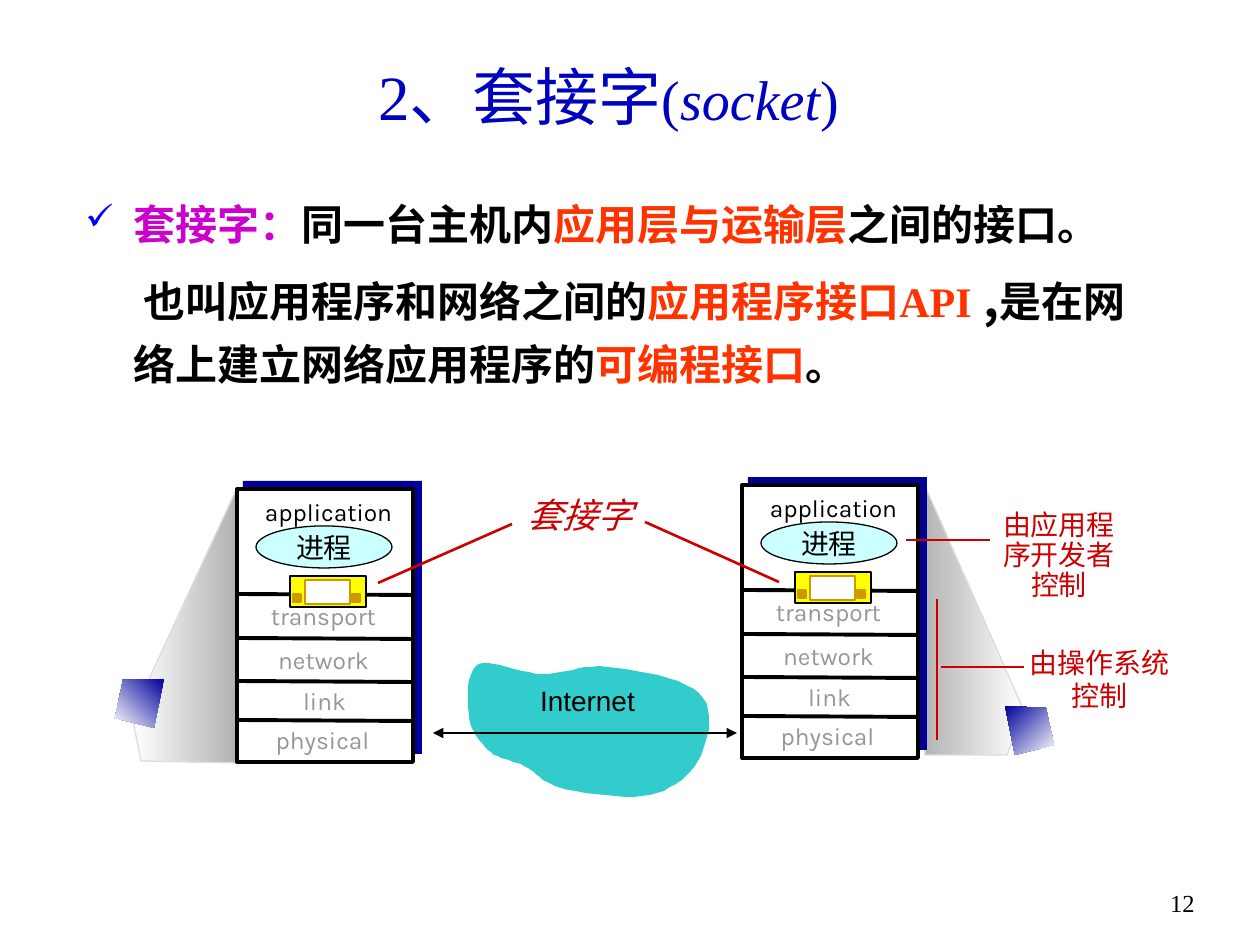
from lxml.etree import SubElement
from pptx import Presentation
from pptx.dml.color import RGBColor
from pptx.enum.shapes import MSO_CONNECTOR, MSO_SHAPE as Preset
from pptx.enum.text import MSO_ANCHOR as Anchor, PP_ALIGN as Align
from pptx.oxml.ns import qn
from pptx.util import Pt

PX = 914400 / 126
SERIF, SANS, CJK, LABEL = "Times New Roman", "Arial", "Noto Sans CJK SC", "Karla"
BLACK, WHITE, RED, ORANGE = "000000", "FFFFFF", "CC0000", "FF3300"
NAVY, GREY, GOLD = "000099", "969696", "CC9900"


def px(value):
    return round(value * PX)


def color(hex_string):
    return RGBColor.from_string(hex_string)


class SlideMaker:
    def __init__(self, slide):
        self.slide = slide
        self.shapes = slide.shapes

    def run(self, paragraph, text, size, font, ink, bold=False, italic=False):
        run = paragraph.add_run()
        run.text = text
        run.font.size, run.font.name = Pt(size), font
        run.font.bold, run.font.italic = bold, italic
        run.font.color.rgb = color(ink)
        SubElement(run._r.get_or_add_rPr(), qn("a:ea"), typeface=CJK)

    def frame(self, box, anchor=Anchor.TOP, wrap=True):
        frame = self.shapes.add_textbox(*map(px, box)).text_frame
        frame.word_wrap, frame.vertical_anchor = wrap, anchor
        return frame

    def text(self, box, runs, align=Align.CENTER, spacing=None, **layout):
        paragraph = self.frame(box, **layout).paragraphs[0]
        paragraph.alignment, paragraph.line_spacing = align, spacing
        for run in runs:
            self.run(paragraph, *run)

    def paint(self, shape, fill, line=None, width=0.75):
        shape.shadow.inherit = False
        shape.fill.solid()
        shape.fill.fore_color.rgb = color(fill)
        self.outline(shape, line, width)
        return shape

    def outline(self, shape, line, width=0.75):
        if line:
            shape.line.color.rgb = color(line)
            shape.line.width = Pt(width)
        else:
            shape.line.fill.background()

    def shape(self, preset, box, fill, line=None, width=0.75):
        return self.paint(self.shapes.add_shape(preset, *map(px, box)), fill, line, width)

    def polygon(self, points):
        builder = self.shapes.build_freeform(*points[0], scale=PX)
        builder.add_line_segments(points[1:], close=True)
        return builder.convert_to_shape()

    def gradient(self, points, stops, angle, line=None):
        shape = self.polygon(points)
        shape.shadow.inherit = False
        shape.fill.gradient()
        shape.fill.gradient_angle = angle
        for stop, ink in zip(shape.fill.gradient_stops, stops):
            stop.color.rgb = color(ink)
        self.outline(shape, line)

    def cloud(self, start, curves, fill, steps=10):
        points = [start]
        for a, b, end in curves:
            origin = points[-1]
            for t in (i / steps for i in range(1, steps + 1)):
                weights = (1 - t) ** 3, 3 * t * (1 - t) ** 2, 3 * t * t * (1 - t), t ** 3
                points.append(tuple(
                    sum(w * p[axis] for w, p in zip(weights, (origin, a, b, end)))
                    for axis in (0, 1)))
        self.paint(self.polygon(points), fill)

    def line(self, x1, y1, x2, y2, ink, width, arrows=False):
        link = self.shapes.add_connector(MSO_CONNECTOR.STRAIGHT, px(x1), px(y1), px(x2), px(y2))
        link.line.color.rgb, link.line.width = color(ink), Pt(width)
        properties = link._element.spPr
        if arrows:
            for end in ("a:headEnd", "a:tailEnd"):
                SubElement(properties.find(qn("a:ln")), qn(end), type="triangle")
        SubElement(properties, qn("a:effectLst"))

    def bullet(self, paragraph, mark, ink, percent):
        props = paragraph._p.get_or_add_pPr()
        SubElement(SubElement(props, qn("a:buClr")), qn("a:srgbClr"), val=ink)
        SubElement(props, qn("a:buSzPct"), val=str(percent * 1000))
        SubElement(props, qn("a:buChar"), char=mark)

    def indent(self, paragraph, margin, first):
        props = paragraph._p.get_or_add_pPr()
        props.set("marL", str(px(margin)))
        props.set("indent", str(px(first)))

    def host(self, x, y):
        """Protocol stack whose white panel starts at x, y."""
        self.shape(Preset.RECTANGLE, (x + 6, y - 8, 179, 273), NAVY)
        self.shape(Preset.RECTANGLE, (x, y, 176, 273), WHITE, BLACK, 2.25)
        for dx, dy, drop in ((1, 105, 1), (2, 149, 1), (1, 192, 1), (1, 231, 1)):
            self.line(x + dx, y + dy, x + dx + 174, y + dy + drop, BLACK, 2.25)
        layers = (("application", 1, -1, BLACK), ("transport", -4, 103, GREY),
                  ("network", -4, 147, GREY), ("link", -3, 188, GREY),
                  ("physical", -5, 227, GREY))
        for name, dx, dy, ink in layers:
            self.text((x + dx, y + dy, 181, 45), [(name, 14, LABEL, ink)], spacing=1.1)
        # Process and its socket
        process = self.shape(Preset.OVAL, (x + 19, y + 37, 136, 42), "CCFFFF", BLACK)
        frame = process.text_frame
        frame.word_wrap, frame.vertical_anchor = False, Anchor.MIDDLE
        frame.paragraphs[0].alignment = Align.CENTER
        self.run(frame.paragraphs[0], "进程", 16, SANS, BLACK)
        self.shape(Preset.RECTANGLE, (x + 53, y + 87, 76, 31), "FFFF00", BLACK)
        self.shape(Preset.RECTANGLE, (x + 68, y + 91, 45, 24), WHITE, GOLD)
        for dx in (56, 115):
            self.shape(Preset.RECTANGLE, (x + dx, y + 105, 8, 8), GOLD, GOLD)


def main():
    deck = Presentation()
    deck.slide_width, deck.slide_height = px(1260), px(945)
    maker = SlideMaker(deck.slides.add_slide(deck.slide_layouts[6]))

    # Title and page number
    blue = "0000BF"
    maker.text((73, 32, 1071, 126), [
        ("2、套接字", 36, SERIF, blue), ("(", 32, SERIF, blue),
        ("socket", 32, SERIF, blue, False, True), (")", 32, SERIF, blue),
    ], anchor=Anchor.MIDDLE)
    maker.text((1144, 882, 63, 63), [("12", 14, SERIF, BLACK)], align=Align.RIGHT)

    # Definition
    frame = maker.frame((73, 181, 1071, 237))
    definition, alias = frame.paragraphs[0], frame.add_paragraph()
    maker.bullet(definition, "✓", "0000FF", 85)
    maker.indent(definition, 48, -48)
    maker.indent(alias, 48, 10)
    alias.space_before = Pt(10)
    definition.line_spacing = alias.line_spacing = Pt(35)
    for text, ink in (("套接字：", "CC00CC"), ("同一台主机内", BLACK),
                      ("应用层与运输层", ORANGE), ("之间的接口。", BLACK)):
        maker.run(definition, text, 24, CJK, ink, True)
    for text, size, font, ink, italic in (
            ("也叫应用程序和网络之间的", 24, CJK, BLACK, False),
            ("应用程序", 24, CJK, ORANGE, False),
            ("接口API", 24, SERIF, ORANGE, False),
            (" ", 28, SERIF, BLACK, True),
            (",", 28, CJK, BLACK, False),
            ("是在网络上建立网络应用程序的", 24, CJK, BLACK, False),
            ("可编程接口", 24, CJK, ORANGE, False),
            ("。", 24, CJK, BLACK, False)):
        maker.run(alias, text, size, font, ink, True, italic)

    # Light cones behind the hosts
    light, shade, edge = WHITE, "B2B2B2", "DDDDDD"
    maker.gradient([(1024, 711), (922, 479), (925, 755), (1007, 755)], (shade, light), 0, edge)
    maker.gradient([(132, 716), (237, 488), (236, 763), (141, 761)], (light, shade), 0, edge)

    # Internet
    maker.cloud((469, 713), [
        ((467, 699), (466, 670), (479, 664)), ((490, 658), (521, 674), (543, 674)),
        ((564, 675), (581, 664), (607, 667)), ((634, 669), (684, 678), (699, 693)),
        ((716, 708), (709, 738), (701, 756)), ((693, 772), (674, 790), (650, 795)),
        ((627, 800), (582, 793), (561, 788)), ((541, 783), (537, 772), (524, 766)),
        ((513, 760), (497, 759), (488, 750)), ((479, 741), (469, 728), (469, 713)),
    ], "33CCCC")
    maker.text((527, 677, 121, 47), [("Internet", 16, SANS, BLACK)], wrap=False)
    maker.line(433, 733, 737, 733, BLACK, 0.75, arrows=True)

    # Hosts
    maker.host(237, 489)
    maker.host(742, 485)

    # Who controls what
    maker.text((1014, 640, 171, 81), [("由操作系统控制", 16, CJK, RED)], spacing=Pt(18.9))
    maker.text((984, 505, 150, 105), [("由应用程序开发者控制", 16, CJK, RED)], spacing=Pt(17.1))
    maker.text((515, 492, 131, 50), [("套接字", 20, SANS, RED, False, True)],
               align=Align.LEFT, spacing=0.9, wrap=False)
    for ends in ((990, 540, 906, 540), (937, 599, 937, 740), (1024, 667, 941, 667),
                 (378, 583, 512, 524), (779, 582, 645, 522)):
        maker.line(*ends, RED, 1.5)

    # Tiles at the cone tips
    maker.gradient([(164, 679), (123, 680), (115, 718), (154, 728)], (NAVY, WHITE), 225)
    maker.gradient([(1005, 706), (1046, 708), (1054, 745), (1015, 755)], (NAVY, WHITE), 315)

    deck.save("out.pptx")


if __name__ == "__main__":
    main()
